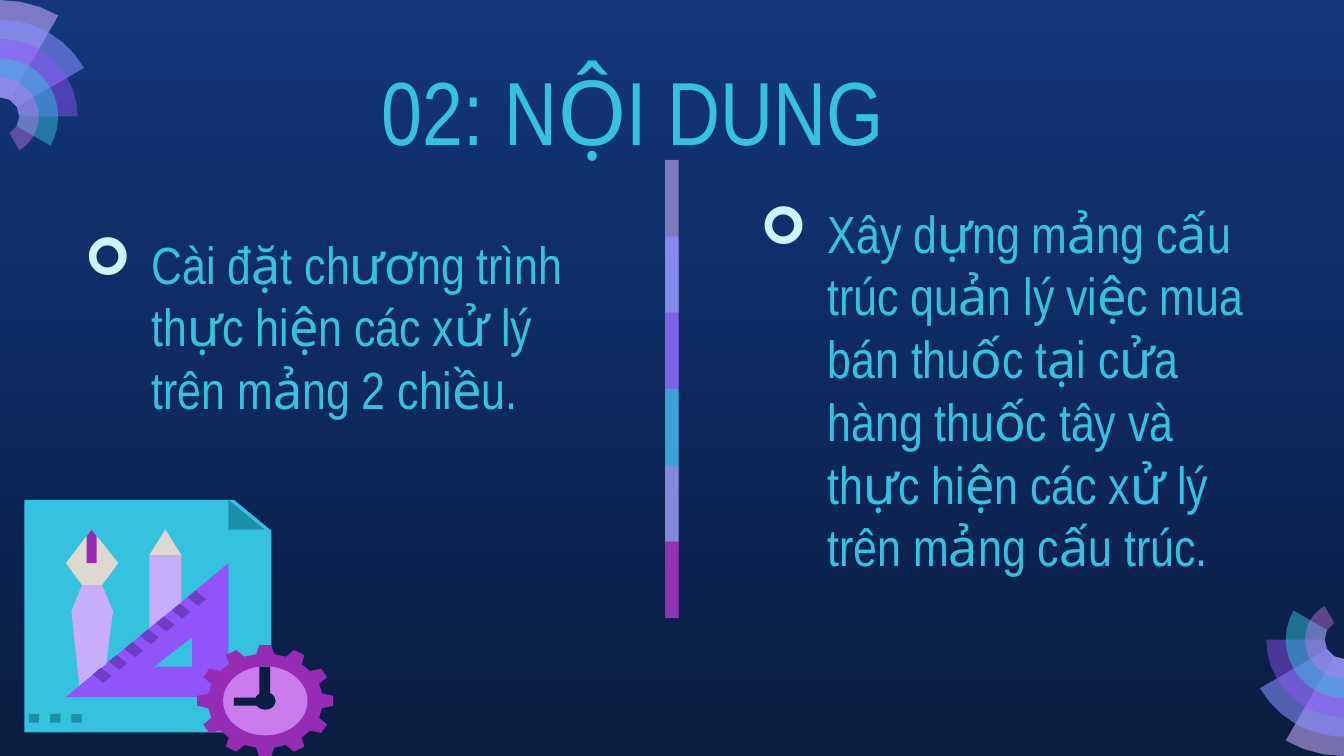
from math import cos, radians, sin
from lxml.etree import SubElement
from pptx import Presentation
from pptx.dml.color import RGBColor as RGB
from pptx.enum.lang import MSO_LANGUAGE_ID as LANG
from pptx.enum.shapes import MSO_SHAPE as SHAPE
from pptx.enum.text import MSO_ANCHOR as ANCHOR
from pptx.oxml.ns import qn
from pptx.util import Pt

WIDTH, HEIGHT = 720, 405
FONT, BULLET_FONT = "Arial Narrow", "Wingdings"
COLORS = {
    "sky": "13367C", "navy": "0A1D42", "cyan": "35C2DF", "teal": "1B91A9",
    "violet": "9154F8", "indigo": "6F3CC6", "blue": "878FFF",
    "lilac": "C8AEF8", "pale_lilac": "C8ACFD", "orchid": "CA7BEB",
    "purple": "972CB4", "sand": "DED8D0", "ice": "CEF3F5",
}

TEXTS = [
    ("02: NỘI DUNG", (197.3, 18.4, 383.8, 80.6), 48, False),
    ("Cài đặt chương trình thực hiện các xử lý trên mảng 2 chiều.",
     (38.2, 115.2, 282.2, 118.8), 28, True),
    ("Xây dựng mảng cấu trúc quản lý việc mua bán thuốc tại cửa hàng thuốc tây "
     "và thực hiện các xử lý trên mảng cấu trúc.",
     (400.3, 120.2, 290.9, 176.4), 28, True),
]

FAN_RINGS = [("pale_lilac", 58), ("blue", 58), ("violet", 46), ("cyan", 49), ("orchid", 42)]
FAN_CENTERS = [((WIDTH, 342.7), 180), ((0, 62.4), 0)]
FAN_HOLE, FAN_STEP = 10.4, 10.4

BAR = [("lilac", 59), ("blue", 74), ("violet", 53), ("cyan", 76), ("orchid", 56), ("purple", 74)]
BAR_LEFT, BAR_TOP, BAR_WIDTH, BAR_STEP = 356.4, 85.7, 7.2, 40.9

GEAR_CENTER, GEAR_SQUASH, GEAR_TEETH = (142.1, 375.5), 0.82, 12
TOOTH = [(30.9, -9), (36.6, -5), (36.6, 5), (30.9, 9)]

PAGE = [
    ("cyan", [[(13, 267.8), (13, 392.4), (145.4, 392.4), (145.4, 284.4), (125.3, 267.8)]]),
    ("teal", [[(122.4, 267.8), (122.4, 283.7), (141.8, 283.7)]]),
    ("violet", [[(103, 341.3), (103, 357.1), (82.8, 357.1)],
                [(122.4, 301.7), (35.3, 373.4), (122.4, 373.4)]]),
]
TOOLS = [
    ("sand", [[(88.6, 283.7), (80, 297.4), (97.2, 297.4)]]),
    ("lilac", [[(80, 297.4), (80, 336.2), (97.2, 322.6), (97.2, 297.4)]]),
    ("sand", [[(49.1, 283.7), (35.3, 301.7), (43.9, 313.4), (54.7, 313.4), (63.4, 301.7)]]),
    ("lilac", [[(43.9, 313.4), (38.2, 327.6), (42.5, 367.2), (56.9, 355.7), (60.5, 327.6),
                (54.7, 313.4)]]),
    ("purple", [[(49.1, 283.7), (46.4, 287.3), (46.4, 301.7), (51.8, 301.7), (51.8, 287.3)]]),
]
CLOCK_HANDS = [(139, 357.1), (139, 373.7), (125.3, 373.7), (125.3, 378), (144.7, 378),
               (144.7, 357.1)]
CLOCK_FACE, CLOCK_PIN = (22.6, 18.5), (5.6, 4.7)
RULER_MARK = [(54, 357.8), (49.7, 361.4), (55.4, 365.8), (59.8, 362.2)]
MARK_COUNT, MARK_DX, MARK_DY = 7, 8.46, -6.87
DOT_LEFT, DOT_TOP, DOT_STEP, DOT_SIZE = 15.5, 382.5, 11.4, (5.4, 4.7)


def paint(sp, color, alpha=None):
    sp.shadow.inherit = False
    sp.fill.solid()
    sp.fill.fore_color.rgb = RGB.from_string(COLORS[color])
    sp.line.fill.background()
    if alpha:
        clr = sp.fill._xPr.find(".//" + qn("a:srgbClr"))
        SubElement(clr, qn("a:alpha"), val=str(alpha * 1000))


def outline(shapes, color, contours, alpha=None):
    builder = None
    for contour in contours:
        pts = [(x * 100, y * 100) for x, y in contour]
        if builder is None:
            builder = shapes.build_freeform(*pts[0], scale=127)
        else:
            builder.move_to(*pts[0])
        builder.add_line_segments(pts[1:], close=True)
    paint(builder.convert_to_shape(), color, alpha)


def preset(shapes, kind, color, box, alpha=None):
    paint(shapes.add_shape(kind, *map(Pt, box)), color, alpha)


def oval(shapes, color, center, radii):
    (cx, cy), (rx, ry) = center, radii
    preset(shapes, SHAPE.OVAL, color, (cx - rx, cy - ry, 2 * rx, 2 * ry))


def polar(center, radius, angle, squash=1):
    a = radians(angle)
    return center[0] + radius * sin(a), center[1] - radius * squash * cos(a)


def fan(shapes, center, turn):
    for i, (color, alpha) in enumerate(FAN_RINGS):
        outer = FAN_HOLE + FAN_STEP * (len(FAN_RINGS) - i)
        end = turn + 30 * (i + 1)
        ring = [polar(center, outer, a) for a in range(turn, end + 1, 10)]
        ring += [polar(center, FAN_HOLE, a) for a in range(end, turn - 1, -30)]
        outline(shapes, color, [ring], alpha)


def text(shapes, words, box, size, bulleted):
    tf = shapes.add_textbox(*map(Pt, box)).text_frame
    tf.word_wrap = True
    tf.vertical_anchor = ANCHOR.MIDDLE
    tf.margin_left = tf.margin_right = tf.margin_top = tf.margin_bottom = Pt(7.2)
    tf.text = words
    p = tf.paragraphs[0]
    if bulleted:
        pPr = p._p.get_or_add_pPr()
        pPr.set("marL", str(Pt(36)))
        pPr.set("indent", str(Pt(-36)))
        SubElement(SubElement(pPr, qn("a:buClr")), qn("a:srgbClr"), val=COLORS["ice"])
        SubElement(pPr, qn("a:buFont"), typeface=BULLET_FONT)
        SubElement(pPr, qn("a:buChar"), char="➢")
    font = p.runs[0].font
    font.name, font.size = FONT, Pt(size)
    font.language_id = LANG.VIETNAMESE
    font.color.rgb = RGB.from_string(COLORS["cyan"])


def illustration(shapes):
    for color, contours in PAGE:
        outline(shapes, color, contours)
    gear = [polar(GEAR_CENTER, radius, 360 / GEAR_TEETH * i + angle, GEAR_SQUASH)
            for i in range(GEAR_TEETH) for radius, angle in TOOTH]
    outline(shapes, "purple", [gear])
    for color, contours in TOOLS:
        outline(shapes, color, contours)
    oval(shapes, "orchid", GEAR_CENTER, CLOCK_FACE)
    outline(shapes, "navy", [CLOCK_HANDS])
    oval(shapes, "navy", GEAR_CENTER, CLOCK_PIN)
    for i in range(MARK_COUNT):
        mark = [(x + i * MARK_DX, y + i * MARK_DY) for x, y in RULER_MARK]
        outline(shapes, "indigo", [mark])
    for i in range(3):
        preset(shapes, SHAPE.RECTANGLE, "teal", (DOT_LEFT + i * DOT_STEP, DOT_TOP, *DOT_SIZE))


def main():
    prs = Presentation()
    prs.slide_width, prs.slide_height = Pt(WIDTH), Pt(HEIGHT)
    s = prs.slides.add_slide(prs.slide_layouts[6])
    fill = s.background.fill
    fill.gradient()
    fill.gradient_angle = 270
    for stop, position, color in zip(fill.gradient_stops, (0, 1), ("sky", "navy")):
        stop.position = position
        stop.color.rgb = RGB.from_string(COLORS[color])

    for center, turn in FAN_CENTERS:
        fan(s.shapes, center, turn)
    for i, (color, alpha) in enumerate(BAR):
        height = BAR_STEP * min(2, len(BAR) - i)
        box = (BAR_LEFT, BAR_TOP + i * BAR_STEP, BAR_WIDTH, height)
        preset(s.shapes, SHAPE.RECTANGLE, color, box, alpha)
    illustration(s.shapes)
    for item in TEXTS:
        text(s.shapes, *item)
    prs.save("out.pptx")


if __name__ == "__main__":
    main()
